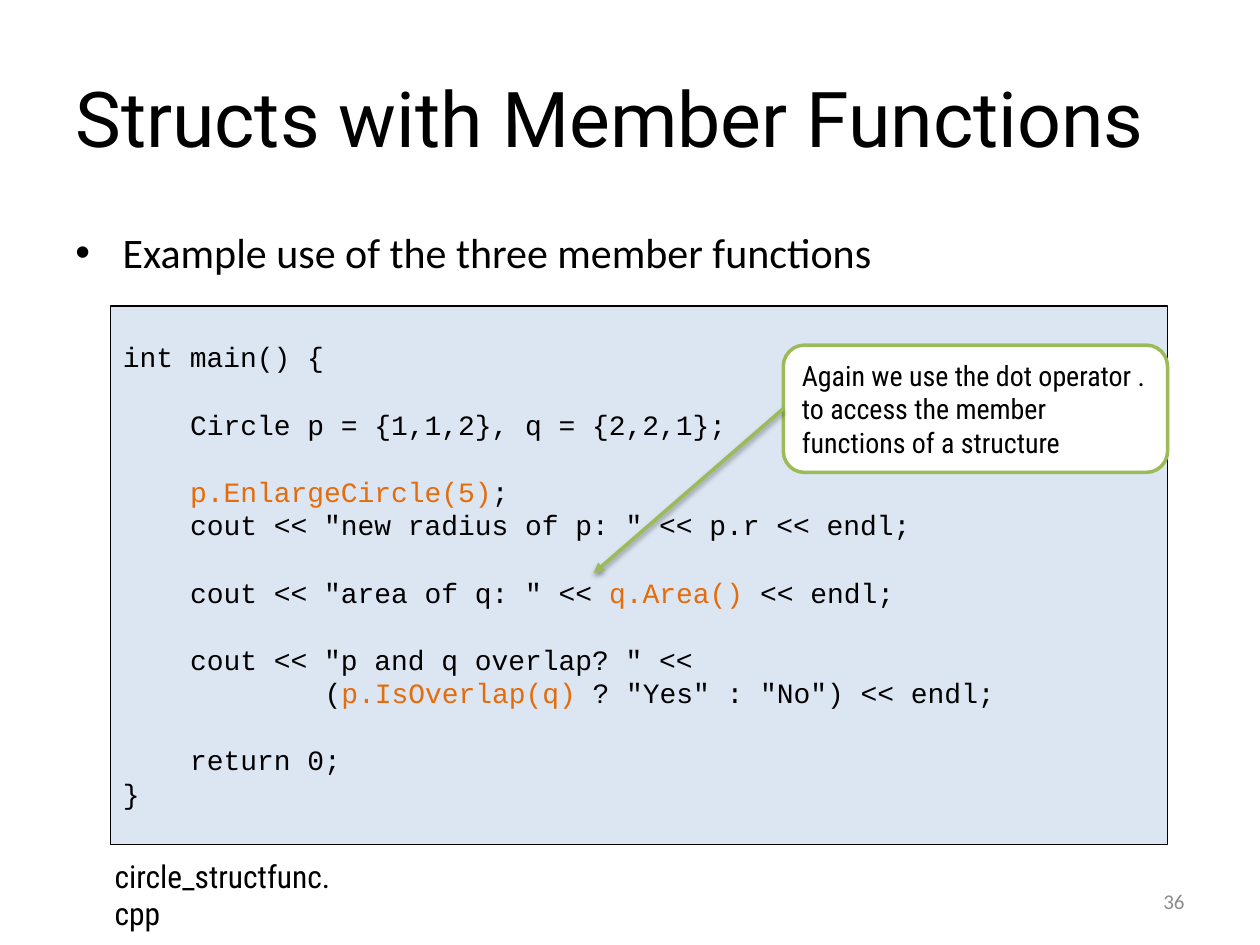
"""Builds the slide on structs with member functions."""
from lxml.etree import SubElement
from pptx import Presentation
from pptx.dml.color import RGBColor
from pptx.enum.shapes import MSO_CONNECTOR, MSO_SHAPE
from pptx.enum.text import MSO_ANCHOR, PP_ALIGN
from pptx.oxml import parse_xml
from pptx.oxml.ns import nsdecls, qn
from pptx.util import Pt

COLORS = {"text": "000000", "number": "8C8C8C", "call": "E46C0A",
          "code": "DCE6F2", "white": "FFFFFF", "green": "9BBB59"}
TITLE = "Structs with Member Functions"
BULLET = "Example use of the three member functions"
NOTE = "Again we use the dot operator . to access the member functions of a structure"
FILE_NAME = "circle_structfunc.cpp"
NUMBER = "36"
# Each line: indent in characters, blank lines before, (text, colour) runs
CODE = [
    (0, 0, [("int main() {", "text")]),
    (4, 1, [("Circle p = {1,1,2}, q = {2,2,1};", "text")]),
    (4, 1, [("p.EnlargeCircle(5)", "call"), (";", "text")]),
    (4, 0, [('cout << "new radius of p: " << p.r << endl;', "text")]),
    (4, 1, [('cout << "area of q: " << ', "text"), ("q.Area()", "call"),
            (" << endl;", "text")]),
    (4, 1, [('cout << "p and q overlap? " <<', "text")]),
    (12, 0, [("(", "text"), ("p.IsOverlap(q)", "call"),
             (' ? "Yes" : "No") << endl;', "text")]),
    (4, 1, [("return 0;", "text")]),
    (0, 0, [("}", "text")]),
]
CODE_SIZE = 16
CHAR_WIDTH = 0.6 * CODE_SIZE
LINE_HEIGHT = 1.2 * CODE_SIZE


def color(name):
    return RGBColor.from_string(COLORS[name])


def add_run(p, text, size, font, name="text"):
    r = p.add_run()
    r.text = text
    r.font.size, r.font.name = Pt(size), font
    r.font.color.rgb = color(name)


def set_frame(sp, anchor):
    tf = sp.text_frame
    tf.word_wrap = True
    tf.vertical_anchor = anchor
    tf.paragraphs[0].alignment = PP_ALIGN.LEFT
    return tf


def add_text(s, box, text, size, font, name="text", anchor=MSO_ANCHOR.TOP):
    sp = s.shapes.add_textbox(*map(Pt, box))
    p = set_frame(sp, anchor).paragraphs[0]
    add_run(p, text, size, font, name)
    return p


def add_panel(s, kind, box, fill, line, width):
    sp = s.shapes.add_shape(kind, *map(Pt, box))
    sp.shadow.inherit = False
    sp.fill.solid()
    sp.fill.fore_color.rgb = color(fill)
    sp.line.color.rgb = color(line)
    sp.line.width = Pt(width)
    return set_frame(sp, MSO_ANCHOR.MIDDLE)


def set_indent(p, left, first=0):
    pPr = p._p.get_or_add_pPr()
    pPr.set("marL", str(int(Pt(left))))
    pPr.set("indent", str(int(Pt(first))))
    return pPr


prs = Presentation()
prs.slide_width, prs.slide_height = Pt(720), Pt(540)
s = prs.slides.add_slide(prs.slide_layouts[6])

add_text(s, (36, 21.6, 648, 90), TITLE, 44, "Roboto", anchor=MSO_ANCHOR.MIDDLE)
p = add_text(s, (36, 126, 648, 356.4), BULLET, 24, "Calibri")
pPr = set_indent(p, 27, -27)
SubElement(pPr, qn("a:buFont"), typeface="Arial")
SubElement(pPr, qn("a:buChar"), char="•")
p = add_text(s, (516, 500.4, 168, 28.8), NUMBER, 12, "Calibri", "number", MSO_ANCHOR.MIDDLE)
p.alignment = PP_ALIGN.RIGHT

tf = add_panel(s, MSO_SHAPE.RECTANGLE, (63.2, 174.8, 604, 307.6), "code", "text", 0.75)
for i, (indent, blanks, runs) in enumerate(CODE):
    p = tf.add_paragraph() if i else tf.paragraphs[0]
    p.alignment = PP_ALIGN.LEFT
    p.line_spacing = Pt(LINE_HEIGHT)
    p.space_before = Pt(blanks * LINE_HEIGHT)
    set_indent(p, indent * CHAR_WIDTH)
    for text, name in runs:
        add_run(p, text, CODE_SIZE, "Courier New", name)

tf = add_panel(s, MSO_SHAPE.ROUNDED_RECTANGLE, (447.6, 197.2, 219.6, 72.8), "white", "green", 2)
add_run(tf.paragraphs[0], NOTE, 16, "Roboto Condensed")

arrow = s.shapes.add_connector(MSO_CONNECTOR.STRAIGHT, Pt(447.6), Pt(233.6), Pt(339.2), Pt(327.6))
arrow.line.color.rgb = color("green")
arrow.line.width = Pt(2)
SubElement(arrow.line._get_or_add_ln(), qn("a:tailEnd"), type="triangle")
arrow._element.spPr.append(parse_xml(
    f'<a:effectLst {nsdecls("a")}><a:outerShdw blurRad="{int(Pt(3.1))}" dist="{int(Pt(1.6))}" '
    f'dir="5400000" rotWithShape="0"><a:srgbClr val="{COLORS["text"]}"><a:alpha val="38000"/>'
    '</a:srgbClr></a:outerShdw></a:effectLst>'))

add_text(s, (58.4, 486, 145.6, 28.8), FILE_NAME, 18, "Roboto Condensed")
prs.save("out.pptx")
